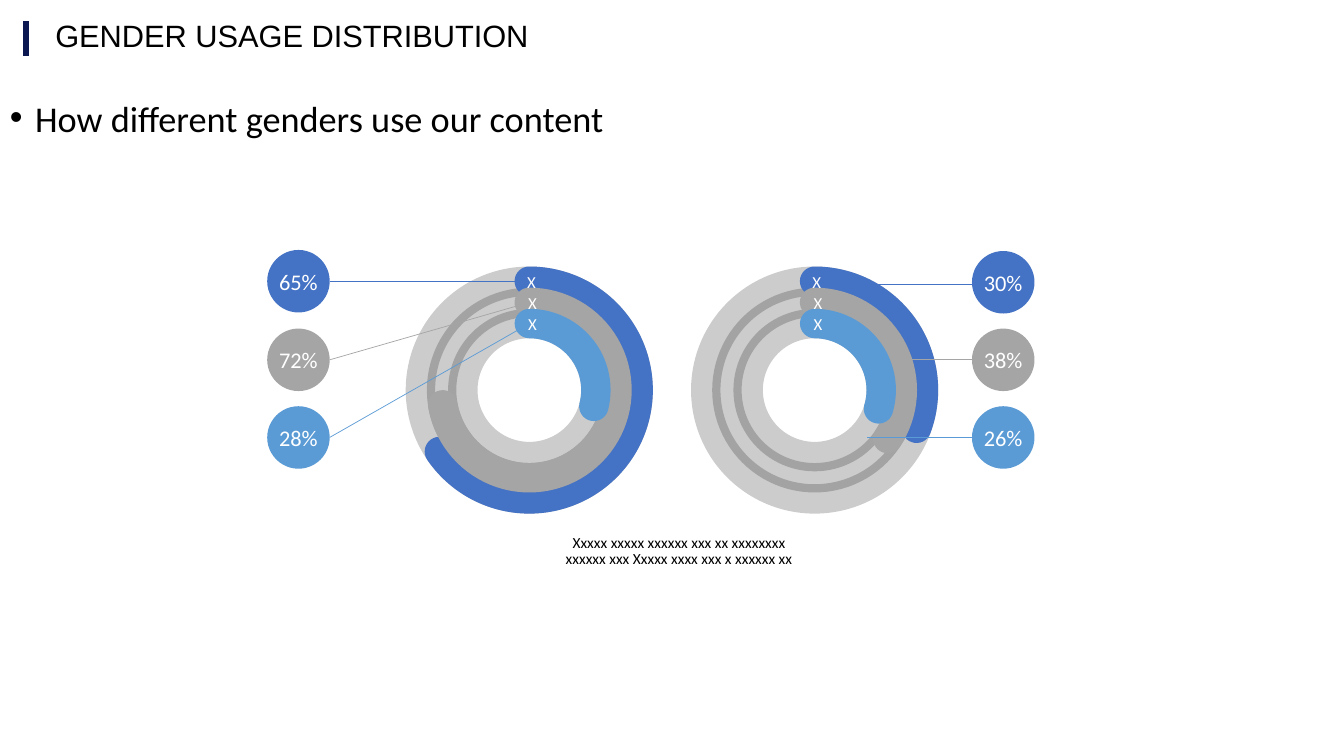
"""Build the gender usage distribution slide with two radial gauges."""
from dataclasses import dataclass

from lxml import etree
from pptx import Presentation
from pptx.dml.color import RGBColor
from pptx.enum.shapes import MSO_CONNECTOR, MSO_SHAPE
from pptx.enum.text import MSO_ANCHOR, MSO_AUTO_SIZE, PP_ALIGN
from pptx.oxml.ns import qn
from pptx.util import Emu, Pt

LINE = MSO_CONNECTOR.STRAIGHT
OVAL, ARC = MSO_SHAPE.OVAL, MSO_SHAPE.ARC
MIDDLE, TOP = MSO_ANCHOR.MIDDLE, MSO_ANCHOR.TOP
LEFT, CENTER = PP_ALIGN.LEFT, PP_ALIGN.CENTER
FIT = MSO_AUTO_SIZE.SHAPE_TO_FIT_TEXT

EMU_PER_PX = 9144
NAVY, BLACK, WHITE = "0A1750", "000000", "FFFFFF"
COLORS = ("4472C4", "A5A5A5", "5B9BD5")
RING_SIZE, RING_STEP, RING_WIDTH = 216, 21, 21
RING_TOP, BADGE_SIZE = 279, 62
ARC_START, ADJ_PER_DEGREE = 270, 0.6


@dataclass(frozen=True)
class Share:
    """One percentage with its arc end, badge top and link line."""
    label: str
    end_degrees: float
    badge_top: int
    link_y: int
    link_end: tuple[int, int]


@dataclass(frozen=True)
class Gauge:
    """One set of concentric rings with a column of badges."""
    left: int
    badge_left: int
    link_left: int
    shares: tuple[Share, ...]


@dataclass(frozen=True)
class Label:
    """A text box with its text and formats."""
    text: str
    box: tuple[int, int, int, int]
    font: dict
    paragraph: dict
    frame: dict
    bullet: bool = False


GAUGES = (
    Gauge(700, 964, 964, (
        Share("30%", 20.56, 249, 282, (835, 282)),
        Share("38%", 33.55, 326, 357, (895, 357)),
        Share("26%", 16.42, 403, 434, (860, 434)))),
    Gauge(417, 265, 327, (
        Share("65%", 145.61, 248, 279, (525, 279)),
        Share("72%", 170.32, 326, 357, (525, 300)),
        Share("28%", 14.18, 403, 434, (525, 321)))),
)


def px(n: int) -> Emu:
    """Turn pixels into EMU."""
    return Emu(n * EMU_PER_PX)


def rgb(color: str) -> RGBColor:
    """Turn a hex string into a colour."""
    return RGBColor.from_string(color)


def apply(target, formats: dict) -> None:
    """Set each format value on the target."""
    for name, value in formats.items():
        setattr(target, name, value)


def font_format(size: float, color: str = BLACK, name: str = "Calibri") -> dict:
    """Return the font formats."""
    return {"name": name, "size": Pt(size), "color": color}


def write(sp, text: str, font: dict, paragraph: dict, frame: dict, bullet: bool = False) -> None:
    """Put formatted text into a shape."""
    tf = sp.text_frame
    apply(tf, frame)
    p = tf.paragraphs[0]
    apply(p, paragraph)
    if bullet:
        pPr = p._p.get_or_add_pPr()
        apply_indent = {"marL": px(25), "indent": -px(25)}
        for name, value in apply_indent.items():
            pPr.set(name, str(value))
        etree.SubElement(pPr, qn("a:buFont"), typeface="Arial")
        etree.SubElement(pPr, qn("a:buChar"), char="•")
    r = p.add_run()
    r.text = text
    apply(r.font, {k: v for k, v in font.items() if k != "color"})
    r.font.color.rgb = rgb(font["color"])


def add_label(s, label: Label) -> None:
    """Draw a text box."""
    sp = s.shapes.add_textbox(*map(px, label.box))
    write(sp, label.text, label.font, label.paragraph, label.frame, label.bullet)


def add_line(s, start: tuple[int, int], end: tuple[int, int], color: str, width: float) -> None:
    """Draw a straight line."""
    c = s.shapes.add_connector(LINE, *map(px, start + end))
    c.line.color.rgb = rgb(color)
    c.line.width = Pt(width)
    etree.SubElement(c._element.spPr, qn("a:effectLst"))


def add_ring(s, kind, left: int, index: int, color: str):
    """Draw the outline of a ring or an arc."""
    inset = index * RING_STEP
    size = RING_SIZE - 2 * inset
    sp = s.shapes.add_shape(kind, *map(px, (left + inset, RING_TOP + inset, size, size)))
    sp.shadow.inherit = False
    sp.fill.background()
    sp.line.color.rgb = rgb(color)
    sp.line.width = Pt(RING_WIDTH)
    return sp


def add_track(s, left: int, index: int) -> None:
    """Draw a translucent full ring."""
    sp = add_ring(s, OVAL, left, index, BLACK)
    clr = sp.line._ln.find(".//" + qn("a:srgbClr"))
    etree.SubElement(clr, qn("a:alpha"), val="20000")


def add_arc(s, left: int, index: int, share: Share) -> None:
    """Draw a round-ended arc for one share."""
    sp = add_ring(s, ARC, left, index, COLORS[index])
    for i, degrees in enumerate((ARC_START, share.end_degrees)):
        sp.adjustments[i] = degrees * ADJ_PER_DEGREE
    sp.line._ln.set("cap", "rnd")


def add_badge(s, left: int, share: Share, color: str) -> None:
    """Draw a filled circle with a percentage."""
    sp = s.shapes.add_shape(OVAL, *map(px, (left, share.badge_top, BADGE_SIZE, BADGE_SIZE)))
    sp.shadow.inherit = False
    sp.fill.solid()
    sp.fill.fore_color.rgb = rgb(color)
    sp.line.fill.background()
    write(sp, share.label, font_format(16, WHITE), {"alignment": CENTER},
          {"vertical_anchor": MIDDLE, "word_wrap": False})


def add_gauge(s, gauge: Gauge) -> None:
    """Draw rings, arcs, marks, links and badges of a gauge."""
    for i in range(len(gauge.shares)):
        add_track(s, gauge.left, i)
    for i, share in enumerate(gauge.shares):
        add_arc(s, gauge.left, i, share)
    for i in range(len(gauge.shares)):
        box = (gauge.left + 96 + min(i, 1), RING_TOP - 12 + i * RING_STEP, 32, 28)
        add_label(s, Label("X", box, font_format(12, WHITE),
                           {"alignment": LEFT, "line_spacing": 0.89},
                           {"word_wrap": False, "auto_size": FIT}))
    for share, color in zip(gauge.shares, COLORS):
        add_line(s, (gauge.link_left, share.link_y), share.link_end, color, 0.5)
        add_badge(s, gauge.badge_left, share, color)


LABELS = (
    Label("GENDER USAGE DISTRIBUTION", (45, 0, 858, 74), font_format(22, name="Arial"),
          {"line_spacing": 0.9}, {"vertical_anchor": MIDDLE, "word_wrap": True}),
    Label("How different genders use our content", (0, 102, 1133, 44), font_format(25.9),
          {"line_spacing": 0.7}, {"vertical_anchor": TOP, "word_wrap": True}, True),
    Label("Xxxxx xxxxx xxxxxx xxx xx xxxxxxxx xxxxxx xxx Xxxxx xxxx xxx x xxxxxx xx",
          (541, 526, 265, 63), font_format(11), {"alignment": CENTER, "line_spacing": 0.89},
          {"word_wrap": True, "auto_size": FIT, "margin_left": px(20),
           "margin_right": px(20), "margin_top": px(5), "margin_bottom": px(8)}),
)


def main() -> None:
    """Build and save the slide."""
    prs = Presentation()
    apply(prs, {"slide_width": px(1333), "slide_height": px(750)})
    s = prs.slides.add_slide(prs.slide_layouts[6])
    add_line(s, (26, 21), (26, 56), NAVY, 4.5)
    for label in LABELS:
        add_label(s, label)
    for gauge in GAUGES:
        add_gauge(s, gauge)
    prs.save("out.pptx")


if __name__ == "__main__":
    main()
